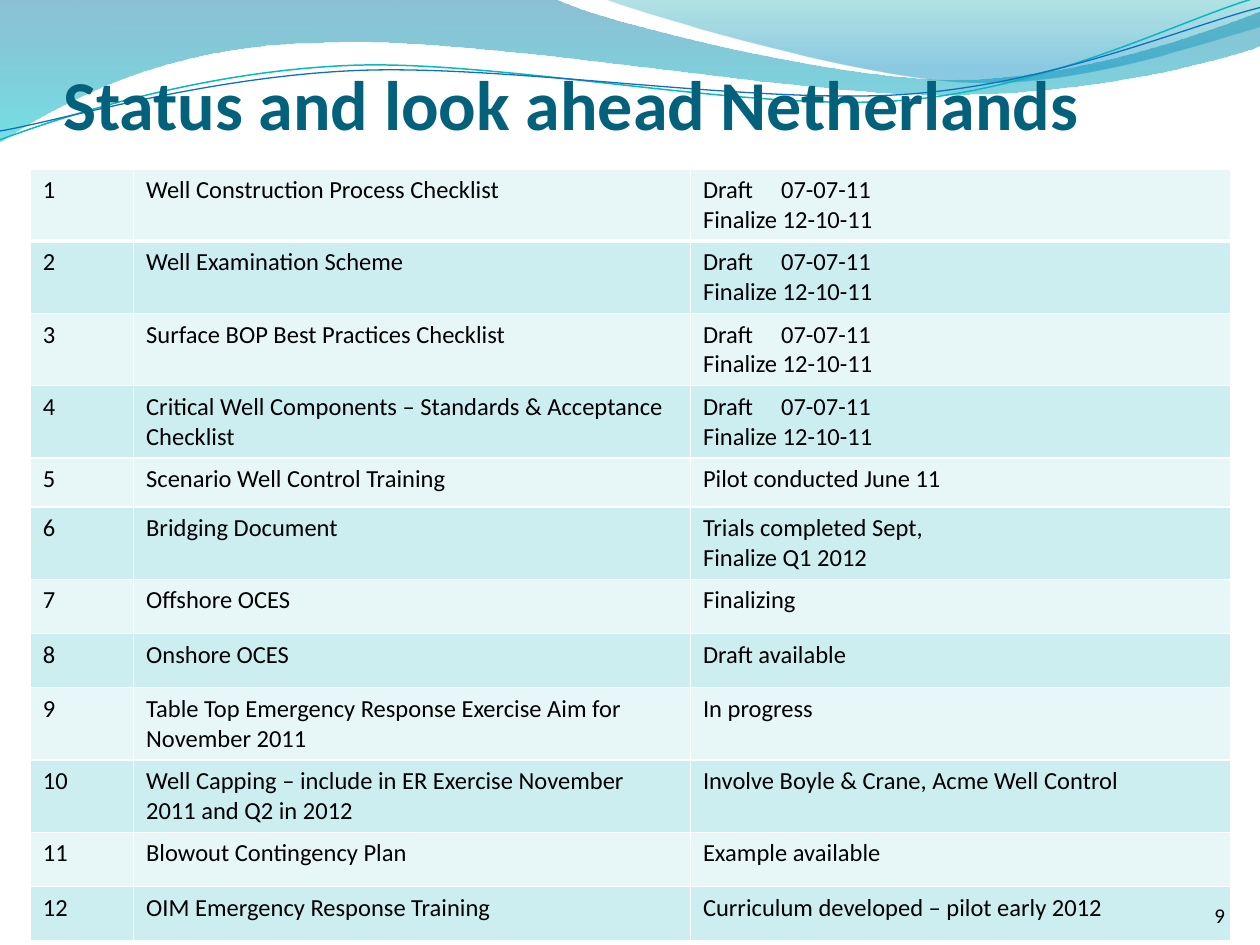
from lxml import etree
from pptx import Presentation
from pptx.dml.color import RGBColor
from pptx.enum.text import MSO_ANCHOR, PP_ALIGN
from pptx.oxml.ns import qn
from pptx.util import Inches, Pt

LEFT, RIGHT = PP_ALIGN.LEFT, PP_ALIGN.RIGHT
MIDDLE = MSO_ANCHOR.MIDDLE
TITLE_BLUE = RGBColor(0x04, 0x61, 0x7B)
BLACK = RGBColor(0, 0, 0)
WHITE = RGBColor(0xFF, 0xFF, 0xFF)
TEAL_LINE = RGBColor(0x0A, 0xB8, 0xBF)
BLUE_LINE = RGBColor(0x0F, 0x6F, 0xC6)
ROW_FILLS = [RGBColor(0xE7, 0xF7, 0xF8), RGBColor(0xCC, 0xEE, 0xF1)]
FONT = "Calibri"

# Content
TITLE = "Status and look ahead Netherlands"
PAGE_NUMBER = "9"
DRAFT_AND_FINAL = "Draft\t07-07-11\nFinalize 12-10-11"
ITEMS = [
    ("Well Construction Process Checklist", DRAFT_AND_FINAL),
    ("Well Examination Scheme", DRAFT_AND_FINAL),
    ("Surface BOP Best Practices Checklist", DRAFT_AND_FINAL),
    ("Critical Well Components – Standards & Acceptance Checklist", DRAFT_AND_FINAL),
    ("Scenario Well Control Training", "Pilot conducted June 11"),
    ("Bridging Document", "Trials completed Sept,\nFinalize Q1 2012"),
    ("Offshore OCES", "Finalizing"),
    ("Onshore OCES", "Draft available"),
    ("Table Top Emergency Response Exercise Aim for November 2011", "In progress"),
    ("Well Capping – include in ER Exercise November 2011 and Q2 in 2012",
     "Involve Boyle & Crane, Acme Well Control"),
    ("Blowout Contingency Plan", "Example available"),
    ("OIM Emergency Response Training", "Curriculum developed – pilot early 2012"),
]
COLUMN_WIDTHS = [0.82, 4.42, 4.29]
ROW_HEIGHT = 0.43
SPECIAL_HEIGHTS = {0: 0.57, 2: 0.57, 4: 0.39}
DATE_TAB = 0.62

# Waves: a start point, then line ends (2 numbers) or Bézier curves (6 numbers);
# gradient stops are (position, colour, opacity in percent)
FILLED_WAVES = [
    ([(0, -0.01), (4.4, -0.01), (4.76, 0.17, 6.64, 0.63, 7.58, 0.63),
      (8.53, 0.63, 9.58, 0.26, 10, 0.09), (10.01, 0.36),
      (9.83, 0.44, 8.7, 0.76, 7.46, 0.75), (6.22, 0.75, 3.82, 0.28, 2.57, 0.34),
      (1.29, 0.35, 0.46, 0.83, -0.01, 1.13)],
     [(0, RGBColor(0x00, 0x74, 0xA1), 45), (1, RGBColor(0x00, 0xC6, 0xCF), 55)]),
    ([(4.79, -0.01), (5.09, 0.11, 6.82, 0.62, 7.69, 0.65),
      (8.56, 0.69, 9.61, 0.32, 10, 0.21), (10, 0)],
     [(0, RGBColor(0x00, 0xA1, 0xA9), 30), (0.8, RGBColor(0x00, 0x8B, 0xBF), 45)]),
]
LINE_WAVES = [
    ([(0, 1.11), (0.48, 0.93, 1.58, 0.57, 2.77, 0.52),
      (3.95, 0.47, 5.93, 0.89, 7.13, 0.8), (8.33, 0.71, 9.38, 0.15, 9.98, -0.02)],
     TEAL_LINE, 0.85),
    ([(0, 1.04), (0.47, 0.96, 1.64, 0.61, 2.83, 0.56),
      (4.03, 0.51, 5.97, 0.83, 7.17, 0.75), (8.36, 0.67, 9.41, 0.21, 10, 0.06)],
     BLUE_LINE, 0.75),
]


def write_text(frame, text, size=14, color=BLACK, bold=False, align=LEFT, tab=None):
    """Fill a text frame, one paragraph a line."""
    for index, line in enumerate(text.split("\n")):
        paragraph = frame.add_paragraph() if index else frame.paragraphs[0]
        paragraph.alignment = align
        run = paragraph.add_run()
        run.text = line
        run.font.name, run.font.size = FONT, Pt(size)
        run.font.bold, run.font.color.rgb = bold, color
        if tab and "\t" in line:
            tabs = etree.SubElement(paragraph._p.get_or_add_pPr(), qn("a:tabLst"))
            etree.SubElement(tabs, qn("a:tab"), pos=str(Inches(tab)), algn="l")


def add_wave(slide, segments, closed):
    """Build an outline through the segment ends, then bend the curved segments."""
    ends = [(Inches(segment[-2]), Inches(segment[-1])) for segment in segments]
    builder = slide.shapes.build_freeform(*ends[0], scale=1.0)
    builder.add_line_segments(ends[1:], close=closed)
    shape = builder.convert_to_shape()
    shape.shadow.inherit = False
    steps = list(shape._element.spPr.iter(qn("a:lnTo")))
    for step, segment in zip(steps, segments[1:]):
        if len(segment) == 6:
            curve = etree.Element(qn("a:cubicBezTo"))
            for x, y in zip(segment[::2], segment[1::2]):
                etree.SubElement(curve, qn("a:pt"), x=str(Inches(x) - shape.left),
                                 y=str(Inches(y) - shape.top))
            step.getparent().replace(step, curve)
    return shape


def fill_gradient(shape, stops):
    """Fill from top to bottom with see-through colours."""
    shape.line.fill.background()
    shape.fill.gradient()
    shape.fill.gradient_angle = 270
    for stop, (position, color, _) in zip(shape.fill.gradient_stops, stops):
        stop.position = position
        stop.color.rgb = color
    colors = shape._element.spPr.iter(qn("a:srgbClr"))
    for element, (_, _, opacity) in zip(list(colors), stops):
        etree.SubElement(element, qn("a:alpha"), val=str(opacity * 1000))


def set_borders(cell, **widths):
    properties = cell._tc.get_or_add_tcPr()
    for side in "LRTB":
        width = Pt(widths.get(side, 1))
        line = etree.SubElement(properties, qn("a:ln" + side), w=str(width))
        fill = etree.SubElement(line, qn("a:solidFill"))
        etree.SubElement(fill, qn("a:srgbClr"), val=str(WHITE))


def add_status_table(slide):
    heights = [SPECIAL_HEIGHTS.get(row, ROW_HEIGHT) for row in range(len(ITEMS))]
    table = slide.shapes.add_table(
        len(ITEMS), len(COLUMN_WIDTHS), Inches(0.24), Inches(1.34),
        Inches(sum(COLUMN_WIDTHS)), Inches(sum(heights))).table
    for column, width in zip(table.columns, COLUMN_WIDTHS):
        column.width = Inches(width)
    for index, (item, status) in enumerate(ITEMS):
        table.rows[index].height = Inches(heights[index])
        # A thicker rule runs under the first row
        thick = {0: {"B": 3}, 1: {"T": 3}}.get(index, {})
        for cell, text in zip(table.rows[index].cells, (str(index + 1), item, status)):
            set_borders(cell, **thick)
            cell.fill.solid()
            cell.fill.fore_color.rgb = ROW_FILLS[index % 2]
            write_text(cell.text_frame, text, tab=DATE_TAB)


def main():
    presentation = Presentation()
    presentation.slide_width, presentation.slide_height = Inches(10), Inches(7.5)
    slide = presentation.slides.add_slide(presentation.slide_layouts[5])

    # Wave decoration
    for segments, stops in FILLED_WAVES:
        fill_gradient(add_wave(slide, segments, closed=True), stops)
    for segments, color, width in LINE_WAVES:
        wave = add_wave(slide, segments, closed=False)
        wave.fill.background()
        wave.line.color.rgb, wave.line.width = color, Pt(width)

    # Title, brought in front of the waves
    title = slide.shapes.title
    slide.shapes._spTree.append(title._element)
    title.left, title.top = Inches(0.5), Inches(0.16)
    title.width, title.height = Inches(9), Inches(1.25)
    frame = title.text_frame
    frame.vertical_anchor = MIDDLE
    frame.margin_left = frame.margin_right = frame.margin_bottom = 0
    frame.margin_top = Inches(0.05)
    write_text(frame, TITLE, size=40, color=TITLE_BLUE, bold=True)

    add_status_table(slide)

    # Page number
    box = slide.shapes.add_textbox(Inches(8.99), Inches(7.06), Inches(0.83), Inches(0.4))
    box.text_frame.word_wrap = True
    box.text_frame.vertical_anchor = MIDDLE
    write_text(box.text_frame, PAGE_NUMBER, size=12, align=RIGHT)

    presentation.save("out.pptx")


if __name__ == "__main__":
    main()
